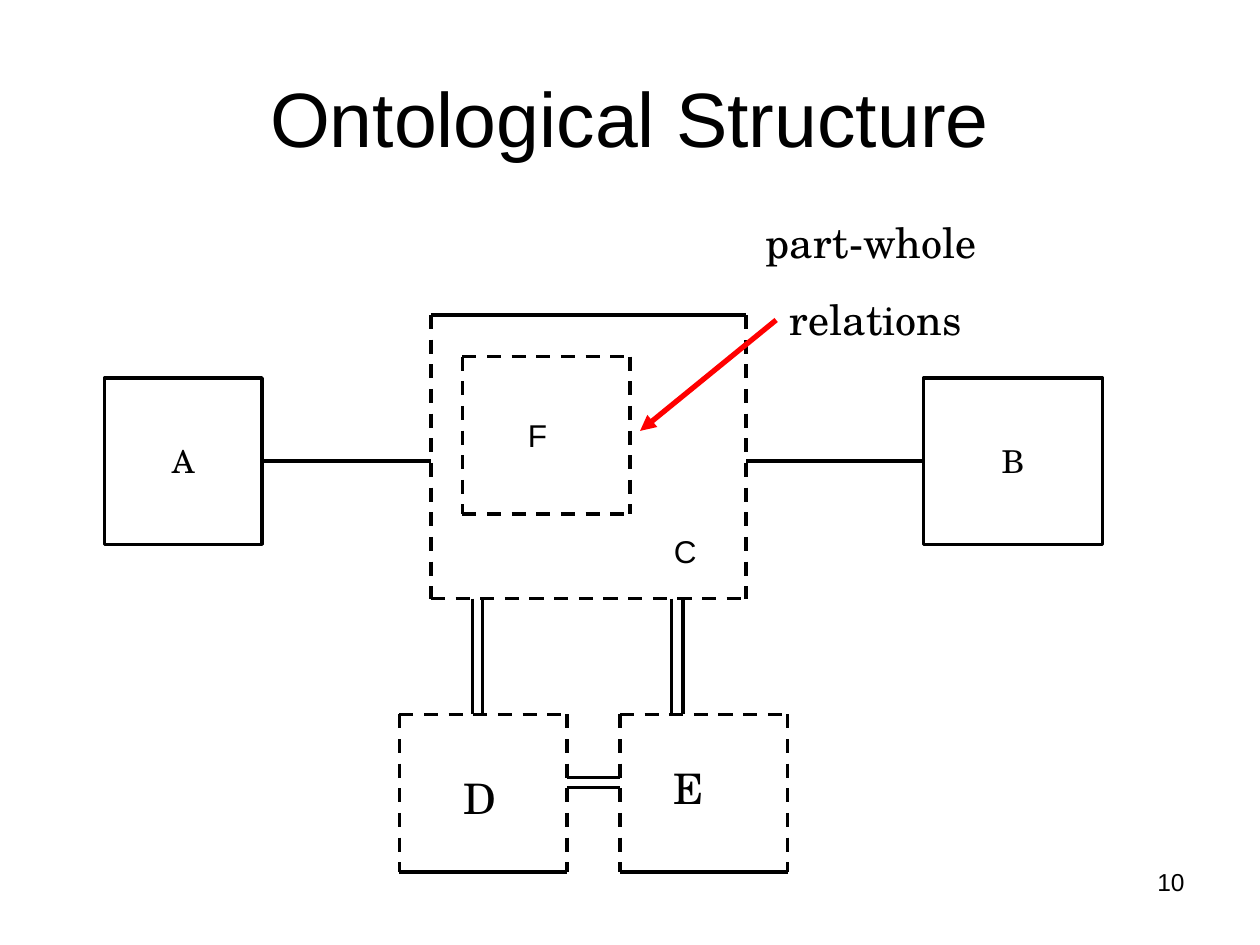
from pptx import Presentation
from pptx.dml.color import RGBColor
from pptx.enum.dml import MSO_LINE
from pptx.enum.shapes import MSO_CONNECTOR, MSO_SHAPE
from pptx.enum.text import MSO_ANCHOR, PP_ALIGN
from pptx.oxml.ns import qn
from pptx.util import Inches, Pt
from lxml import etree

BLACK = RGBColor(0x00, 0x00, 0x00)
RED = RGBColor(0xFF, 0x00, 0x00)
SANS = "Arial"
SERIF = "TeX Gyre Schola"

prs = Presentation()
prs.slide_width, prs.slide_height = Inches(10), Inches(7.5)
slide = prs.slides.add_slide(prs.slide_layouts[6])
shapes = slide.shapes


def add_line(x1, y1, x2, y2, dashed=False, color=BLACK, width=2):
    line = shapes.add_connector(MSO_CONNECTOR.STRAIGHT,
                                Inches(x1), Inches(y1), Inches(x2), Inches(y2))
    line.line.color.rgb = color
    line.line.width = Pt(width)
    if dashed:
        line.line.dash_style = MSO_LINE.DASH
    etree.SubElement(line._element.spPr, qn("a:effectLst"))
    return line


def add_text(text, left, top, width, height, size, font, align=PP_ALIGN.LEFT,
             anchor=MSO_ANCHOR.TOP):
    frame = shapes.add_textbox(Inches(left), Inches(top),
                               Inches(width), Inches(height)).text_frame
    frame.word_wrap = True
    frame.vertical_anchor = anchor
    frame.text = text
    for paragraph in frame.paragraphs:
        paragraph.alignment = align
        paragraph.font.size = Pt(size)
        paragraph.font.name = font
        paragraph.font.color.rgb = BLACK
    return frame


add_text("Ontological Structure", 0.5, 0.3, 9, 1.25, 44, SANS,
         PP_ALIGN.CENTER, MSO_ANCHOR.MIDDLE)

# Open regions: left, top, right, bottom, and the side drawn solid
regions = [
    (3.17, 5.67, 4.5, 6.92, "bottom"),   # D
    (4.92, 5.67, 6.25, 6.92, "bottom"),  # E
    (3.42, 2.5, 5.92, 4.75, "top"),      # C
    (3.67, 2.83, 5, 4.08, None),         # F
]
for left, top, right, bottom, solid_side in regions:
    sides = {
        "left": (left, top, left, bottom),
        "top": (left, top, right, top),
        "right": (right, top, right, bottom),
        "bottom": (left, bottom, right, bottom),
    }
    for side, ends in sides.items():
        add_line(*ends, dashed=side != solid_side)

# Solid boxes, each tied to region C: name, left, width, C's edge, joined side
for name, left, width, region_edge, side in [("A", 0.83, 1.25, 3.42, 3),
                                             ("B", 7.33, 1.42, 5.92, 1)]:
    box = shapes.add_shape(MSO_SHAPE.RECTANGLE, Inches(left), Inches(3),
                           Inches(width), Inches(1.32))
    box.shadow.inherit = False
    box.fill.background()
    box.line.color.rgb = BLACK
    box.line.width = Pt(2)
    box.text_frame.text = name
    box.text_frame.vertical_anchor = MSO_ANCHOR.MIDDLE
    label = box.text_frame.paragraphs[0]
    label.alignment = PP_ALIGN.CENTER
    label.font.size = Pt(18)
    label.font.name = SERIF
    label.font.color.rgb = BLACK
    tie = add_line(left, 3.66, region_edge, 3.66)
    tie.begin_connect(box, side)

# Double links from C down to D and E, and between D and E
for x in (3.75, 3.83, 5.33, 5.42):
    add_line(x, 4.75, x, 5.67)
for y in (6.17, 6.25):
    add_line(4.5, y, 4.92, y)

for name, left, top, width, height, size, font in [
    ("D", 3.58, 6.08, 0.5, 0.5, 24, SERIF),
    ("E", 5.25, 6, 1.08, 0.5, 24, SERIF),
    ("C", 5.25, 4.17, 0.38, 0.4, 18, SANS),
    ("F", 4.09, 3.25, 0.35, 0.4, 18, SANS),
]:
    add_text(name, left, top, width, height, size, font)

arrow = add_line(6.16, 2.54, 5.08, 3.42, color=RED, width=3)
etree.SubElement(arrow.line._get_or_add_ln(), qn("a:tailEnd"), type="triangle")

callout = add_text("part-whole\nrelations", 5.89, 1.67, 2.52, 1.11, 24, SERIF)
for paragraph, indent in zip(callout.paragraphs, (0.09, 0.28)):
    paragraph._p.get_or_add_pPr().set("marL", str(Inches(indent)))
callout.paragraphs[1].space_before = Pt(15)

add_text("10", 7.17, 6.83, 2.33, 0.52, 14, SANS, PP_ALIGN.RIGHT)

prs.save("out.pptx")
